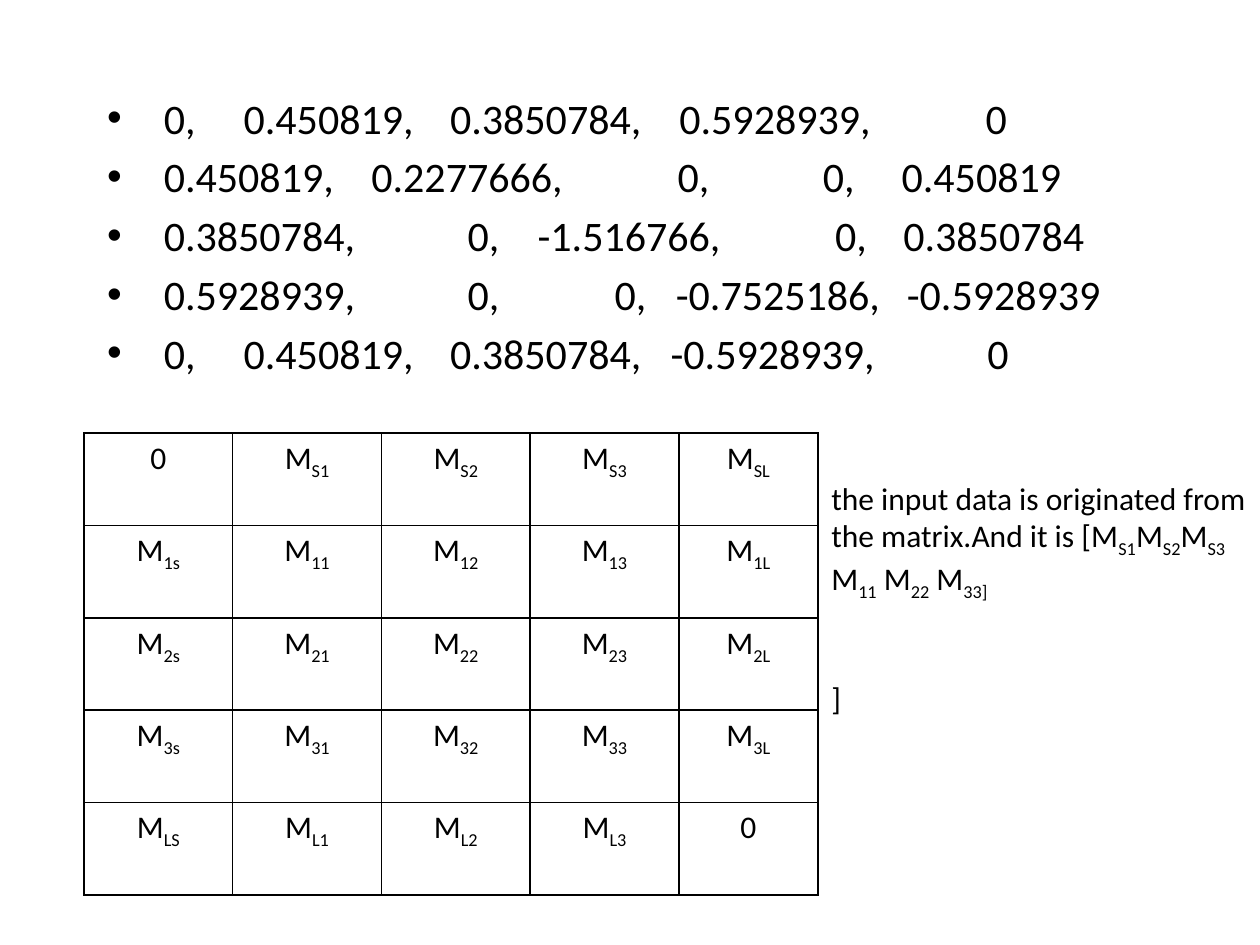
"""Build a slide with matrix values, a matrix table and a short explanation."""
from lxml.etree import SubElement
from pptx import Presentation
from pptx.dml.color import RGBColor
from pptx.enum.text import MSO_AUTO_SIZE as AutoSize, PP_ALIGN as Align
from pptx.oxml import parse_xml
from pptx.oxml.ns import nsdecls, qn
from pptx.util import Pt

BLACK = RGBColor(0, 0, 0)
WHITE = RGBColor(255, 255, 255)

VALUE_ROWS = [
    (" 0,\t0.450819,\t0.3850784,\t0.5928939,\t0", (78, 196, 327, 502)),
    (" 0.450819,\t0.2277666,\t0,\t0,\t0.450819", (151, 326, 409, 454)),
    (" 0.3850784,\t0,\t-1.516766,\t0,\t0.3850784", (206, 246, 416, 455)),
    (" 0.5928939,\t0,\t0,\t-0.7525186,\t-0.5928939", (206, 290, 325, 457)),
    (" 0,\t0.450819,\t0.3850784,\t-0.5928939,\t0", (78, 196, 322, 503)),
]
MATRIX = [
    "0 M_S1 M_S2 M_S3 M_SL",
    "M_1s M_11 M_12 M_13 M_1L",
    "M_2s M_21 M_22 M_23 M_2L",
    "M_3s M_31 M_32 M_33 M_3L",
    "M_LS M_L1 M_L2 M_L3 0",
]
EXPLANATION = (
    "the input data is originated from the matrix.And it is "
    "[M_S1_M_S2_M_S3_ M_11_ M_22_ M_33]"
)


class MatrixPage:
    """Hold the text style and the current slide."""

    font_name = "Calibri"
    value_size = 24
    text_size = 18

    def __init__(self, deck):
        self.page = deck.slides.add_slide(deck.slide_layouts[1])
        title = self.page.shapes.title.element
        title.getparent().remove(title)

    def add_spans(self, para, text, size):
        """Add runs, with every second part between underscores as subscript."""
        for index, part in enumerate(text.split("_")):
            span = para.add_run()
            span.text = part
            span.font.name = self.font_name
            span.font.size = Pt(size)
            span.font.color.rgb = BLACK
            if index % 2:
                span._r.get_or_add_rPr().set("baseline", "-25000")

    def values(self, rows, left, top, width, height):
        """Fill the body placeholder with bulleted rows aligned by tab stops."""
        box = self.page.placeholders[1]
        box.left, box.top, box.width, box.height = map(Pt, (left, top, width, height))
        frame = box.text_frame
        frame.auto_size = AutoSize.NONE
        for index, (text, stops) in enumerate(rows):
            para = frame.add_paragraph() if index else frame.paragraphs[0]
            tab_list = SubElement(para._p.get_or_add_pPr(), qn("a:tabLst"))
            for stop in stops:
                SubElement(tab_list, qn("a:tab"), pos=str(Pt(stop)), algn="l")
            self.add_spans(para, text, self.value_size)

    def border(self, cell):
        """Draw a one-point line on all four sides of a cell."""
        properties = cell._tc.get_or_add_tcPr()
        for index, side in enumerate("LRTB"):
            line = parse_xml(
                f'<a:ln{side} {nsdecls("a")} w="{Pt(1)}"><a:solidFill>'
                f'<a:srgbClr val="{BLACK}"/></a:solidFill></a:ln{side}>'
            )
            properties.insert(index, line)

    def matrix(self, rows, left, top, column_widths, row_height):
        """Add a bordered table with centred labels."""
        size = len(rows), len(column_widths)
        width, height = sum(column_widths), row_height * len(rows)
        frame = self.page.shapes.add_table(*size, *map(Pt, (left, top, width, height)))
        table = frame.table
        table.first_row = table.horz_banding = False
        for column, column_width in zip(table.columns, column_widths):
            column.width = Pt(column_width)
        for row, labels in zip(table.rows, rows):
            row.height = Pt(row_height)
            for cell, label in zip(row.cells, labels.split()):
                cell.fill.solid()
                cell.fill.fore_color.rgb = WHITE
                self.border(cell)
                para = cell.text_frame.paragraphs[0]
                para.alignment = Align.CENTER
                self.add_spans(para, label, self.text_size)

    def note(self, texts, left, top, width, height, gap):
        """Add a wrapping text box with a gap between its paragraphs."""
        box = self.page.shapes.add_textbox(*map(Pt, (left, top, width, height)))
        frame = box.text_frame
        frame.word_wrap = True
        for index, text in enumerate(texts):
            para = frame.add_paragraph() if index else frame.paragraphs[0]
            if index:
                para.space_before = Pt(gap)
            self.add_spans(para, text, self.text_size)


def main():
    """Build and save the deck."""
    deck = Presentation()
    deck.slide_width, deck.slide_height = Pt(720), Pt(540)
    page = MatrixPage(deck)
    page.values(VALUE_ROWS, 54, 49, 641, 425.5)
    page.matrix(MATRIX, 48, 247.5, [85] * 4 + [79.5], 52.8)
    page.note([EXPLANATION, "]"], 468, 270, 252, 138, 44)
    deck.save("out.pptx")


if __name__ == "__main__":
    main()
